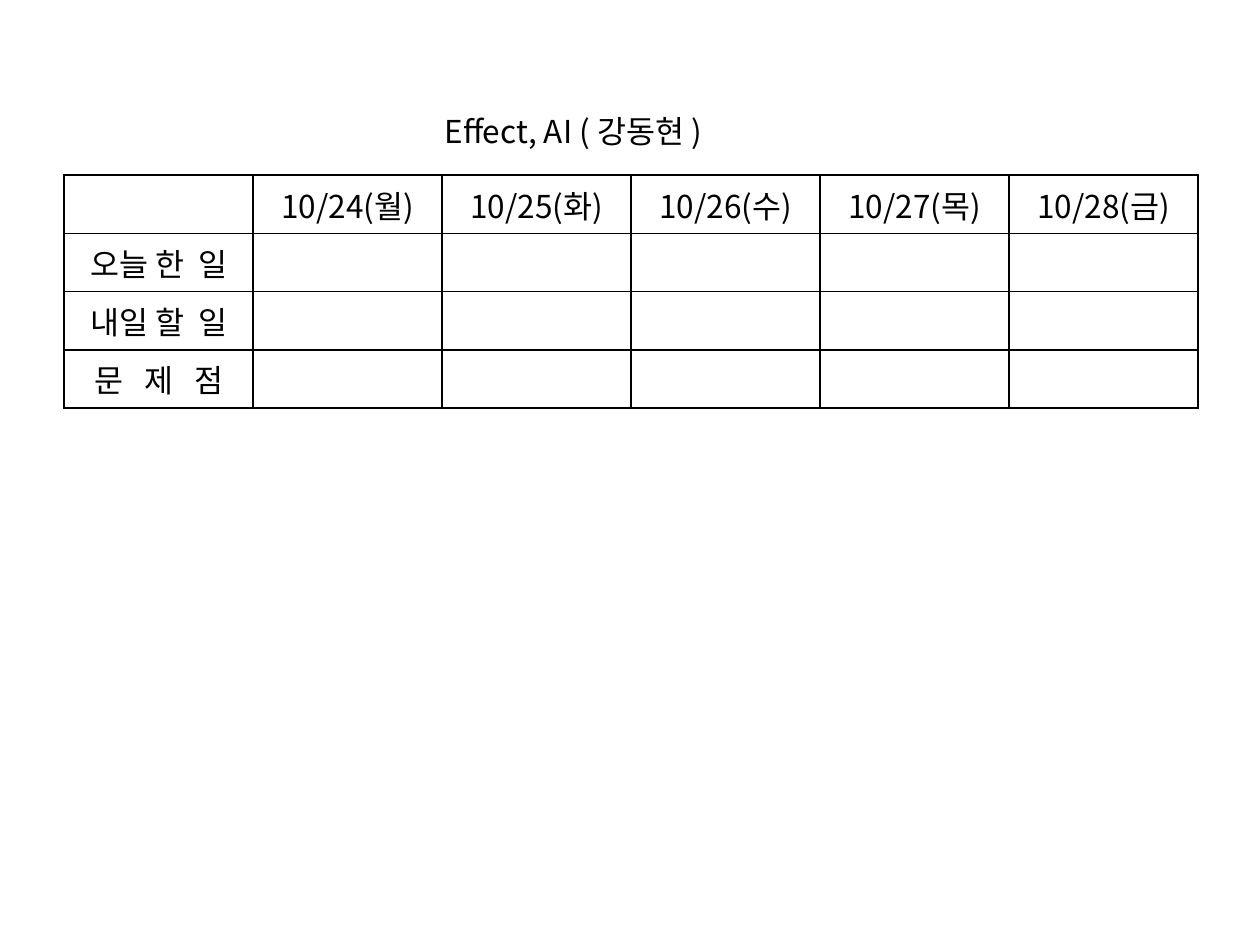
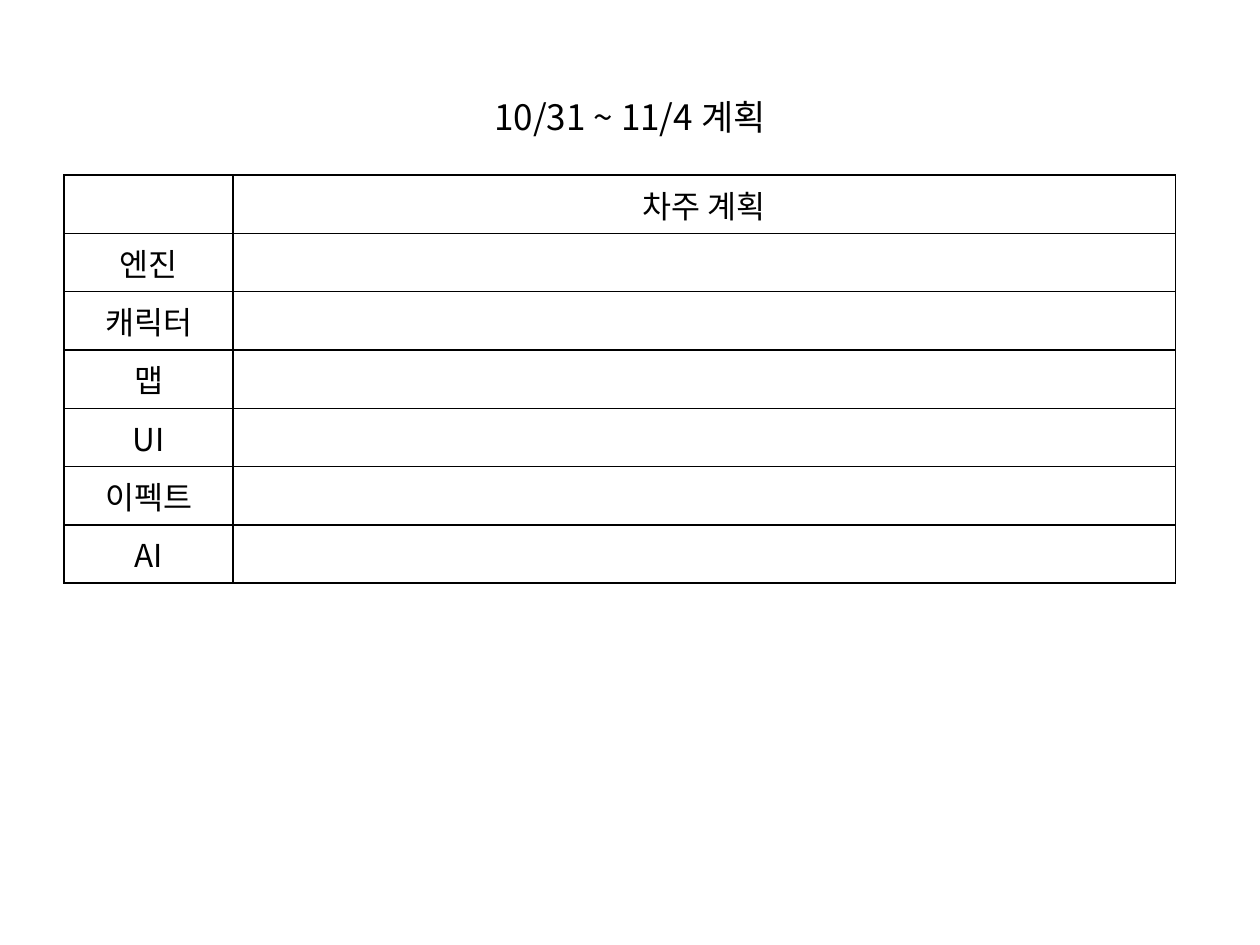
import dataclasses

import lxml.etree
import pptx
import pptx.dml.color
import pptx.enum.text
import pptx.oxml.ns
import pptx.util

Inches = pptx.util.Inches
Pt = pptx.util.Pt
qn = pptx.oxml.ns.qn
CENTER = pptx.enum.text.PP_ALIGN.CENTER
LEFT = pptx.enum.text.PP_ALIGN.LEFT
MIDDLE = pptx.enum.text.MSO_ANCHOR.MIDDLE
TOP = pptx.enum.text.MSO_ANCHOR.TOP


@dataclasses.dataclass(frozen=True)
class Theme:
    font: str = "Noto Sans CJK KR"
    ink: str = "000000"
    body_size: int = 18
    title_size: int = 20
    border: int = 1
    table_left: float = 0.51
    table_top: float = 1.39


THEME = Theme()


def write(p, text, size, align):
    p.text = text
    p.alignment = align
    p.font.name = THEME.font
    p.font.size = Pt(size)
    p.font.color.rgb = pptx.dml.color.RGBColor.from_string(THEME.ink)


def add_heading(s, text, box, size, align, anchor, wrap):
    sp = s.shapes.add_textbox(*(Inches(v) for v in box))
    tf = sp.text_frame
    tf.word_wrap = wrap
    tf.vertical_anchor = anchor
    write(tf.paragraphs[0], text, size, align)


def add_borders(cell):
    tcPr = cell._tc.get_or_add_tcPr()
    for i, side in enumerate(("lnL", "lnR", "lnT", "lnB")):
        ln = lxml.etree.Element(qn(f"a:{side}"), w=str(Pt(THEME.border)))
        fill = lxml.etree.SubElement(ln, qn("a:solidFill"))
        lxml.etree.SubElement(fill, qn("a:srgbClr"), val=THEME.ink)
        tcPr.insert(i, ln)


def add_plan_table(s, headers, labels, widths, height):
    rows = [["", *headers]] + [[label] + [""] * len(headers) for label in labels]
    table = s.shapes.add_table(
        len(rows), len(widths),
        Inches(THEME.table_left), Inches(THEME.table_top),
        Inches(sum(widths)), Inches(height),
    ).table
    table.first_row = False
    table.horz_banding = False
    for column, width in zip(table.columns, widths):
        column.width = Inches(width)
    for r, row in enumerate(rows):
        table.rows[r].height = Inches(height / len(rows))
        for c, text in enumerate(row):
            cell = table.cell(r, c)
            cell.fill.background()
            add_borders(cell)
            write(cell.text_frame.paragraphs[0], text, THEME.body_size, CENTER)


def add_slide(prs):
    return prs.slides.add_slide(prs.slide_layouts[6])


def add_daily_report(prs):
    s = add_slide(prs)
    days = [f"10/{24 + i}({day})" for i, day in enumerate("월화수목금")]
    labels = ["오늘 한  일", "내일 할  일", "문   제   점"]
    add_plan_table(s, days, labels, [1.5] * 6, 1.85)
    add_heading(s, "Effect, AI ( 강동현 )", (3.43, 0.84, 2.4, 0.4),
                THEME.body_size, LEFT, TOP, False)


def add_next_week_plan(prs):
    s = add_slide(prs)
    add_heading(s, "10/31 ~ 11/4 계획", (0.5, 0.3, 9, 1.25),
                THEME.title_size, CENTER, MIDDLE, True)
    parts = ["엔진", "캐릭터", "맵", "UI", "이펙트", "AI"]
    add_plan_table(s, ["차주 계획"], parts, [1.34, 7.48], 3.24)


def main():
    prs = pptx.Presentation()
    prs.slide_width = Inches(10)
    prs.slide_height = Inches(7.5)
    add_daily_report(prs)
    add_next_week_plan(prs)
    prs.save("out.pptx")


if __name__ == "__main__":
    main()
